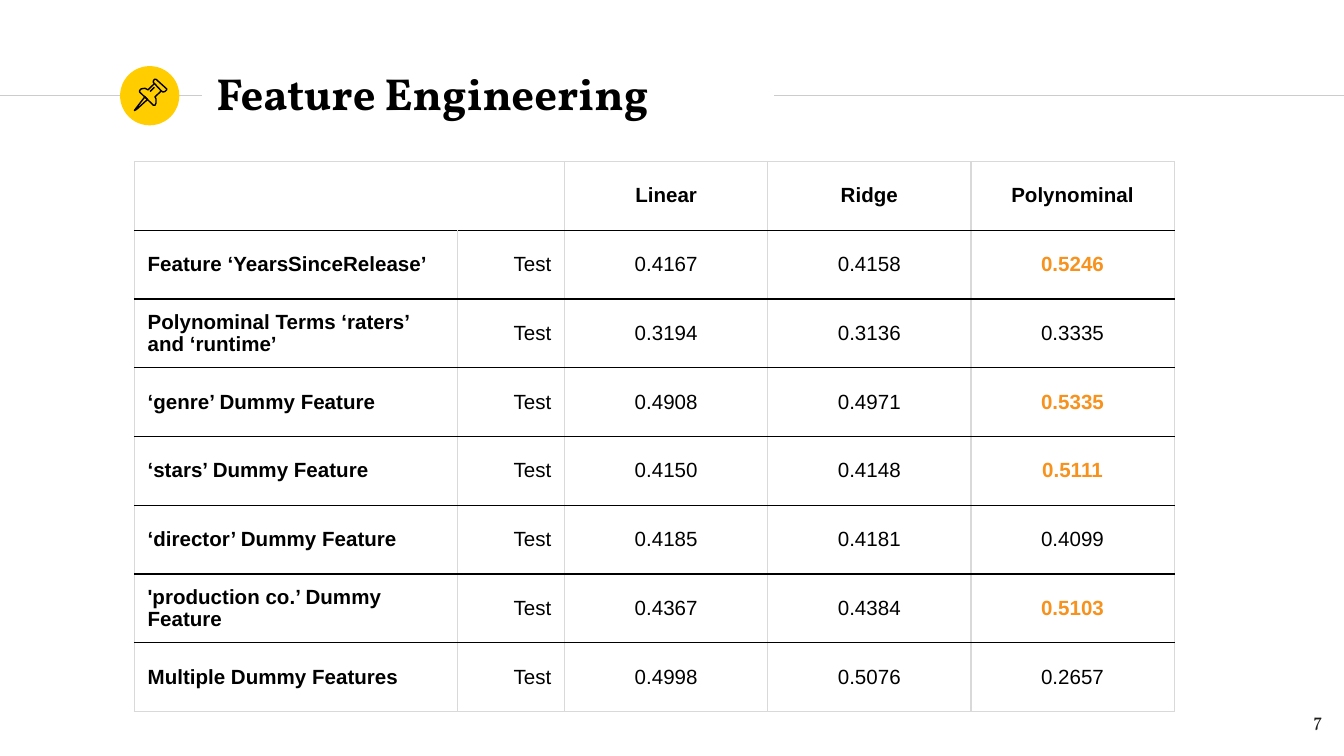
"""Builds the feature engineering slide with its table of model scores."""
import pptx
import pptx.dml.color
import pptx.enum.shapes
import pptx.enum.text
import pptx.oxml
import pptx.oxml.ns
import pptx.util

Cm = pptx.util.Cm
Pt = pptx.util.Pt
RGBColor = pptx.dml.color.RGBColor
Align = pptx.enum.text.PP_ALIGN
Anchor = pptx.enum.text.MSO_ANCHOR

BLACK = RGBColor(0x00, 0x00, 0x00)
INK = RGBColor(0x1D, 0x1D, 0x1B)
YELLOW = RGBColor(0xFF, 0xCD, 0x00)
ORANGE = RGBColor(0xF6, 0x92, 0x1D)
RULE_GREY = RGBColor(0xCC, 0xCC, 0xCC)
BORDER_GREY = RGBColor(0xD9, 0xD9, 0xD9)

MODELS = ["Linear", "Ridge", "Polynominal"]
SCORES = [
    ("Feature ‘YearsSinceRelease’", "0.4167", "0.4158", "0.5246"),
    ("Polynominal Terms ‘raters’ and ‘runtime’", "0.3194", "0.3136", "0.3335"),
    ("‘genre’ Dummy Feature", "0.4908", "0.4971", "0.5335"),
    ("‘stars’ Dummy Feature", "0.4150", "0.4148", "0.5111"),
    ("‘director’ Dummy Feature", "0.4185", "0.4181", "0.4099"),
    ("'production co.’ Dummy Feature", "0.4367", "0.4384", "0.5103"),
    ("Multiple Dummy Features", "0.4998", "0.5076", "0.2657"),
]
BEST_SCORES = {"0.5246", "0.5335", "0.5111", "0.5103"}
COLUMN_WIDTHS = [6.11, 2.02, 3.84, 3.84, 3.84]
ROW_HEIGHT = 1.3

PIN_NEEDLE = [(2.74, 1.83), (2.57, 2.05), (2.54, 2.09), (2.58, 2.07), (2.79, 1.88)]
PIN_CAP = [(2.92, 1.58), (3.05, 1.72), (3.08, 1.74), (3.12, 1.73), (3.15, 1.7),
           (3.15, 1.68), (2.95, 1.5), (2.92, 1.5), (2.9, 1.53), (2.9, 1.56)]
PIN_BODY = [(2.92, 1.58), (2.8, 1.7), (2.74, 1.67), (2.67, 1.68), (2.64, 1.71),
            (2.64, 1.74), (2.9, 1.99), (2.93, 1.99), (2.95, 1.95), (2.95, 1.87),
            (2.93, 1.83), (3.05, 1.72)]
PIN_GLINT = [(2.84, 1.73), (2.92, 1.65)]


class SlideWriter:
    """Holds the style and the current slide."""

    heading_font = "Vollkorn"
    body_font = "Arial"
    line_width = Pt(0.75)

    def __init__(self, page):
        self.page = page

    def span(self, frame, text, font, size, color, bold=False, align=Align.LEFT):
        para = frame.paragraphs[0]
        para.alignment = align
        span = para.add_run()
        span.text = text
        span.font.name = font
        span.font.size = Pt(size)
        span.font.bold = bold
        span.font.color.rgb = color

    def text(self, left, top, width, height, text, size, color,
             bold=False, align=Align.LEFT, anchor=Anchor.TOP):
        box = self.page.shapes.add_textbox(Cm(left), Cm(top), Cm(width), Cm(height))
        frame = box.text_frame
        frame.word_wrap = True
        frame.vertical_anchor = anchor
        frame.margin_left = frame.margin_right = Cm(0.25)
        frame.margin_top = frame.margin_bottom = Cm(0.25)
        self.span(frame, text, self.heading_font, size, color, bold, align)

    def rule(self, start, end, height):
        line = self.page.shapes.add_connector(
            pptx.enum.shapes.MSO_CONNECTOR.STRAIGHT,
            Cm(start), Cm(height), Cm(end), Cm(height))
        line.line.color.rgb = RULE_GREY
        line.line.width = self.line_width
        properties = line._element.spPr
        properties.append(pptx.oxml.parse_xml(
            f'<a:effectLst {pptx.oxml.ns.nsdecls("a")}/>'))

    def disc(self, left, top, size):
        disc = self.page.shapes.add_shape(
            pptx.enum.shapes.MSO_SHAPE.OVAL, Cm(left), Cm(top), Cm(size), Cm(size))
        disc.shadow.inherit = False
        disc.fill.solid()
        disc.fill.fore_color.rgb = YELLOW
        disc.line.fill.background()

    def icon(self, outlines):
        group = self.page.shapes.add_group_shape()
        for points, closed in outlines:
            start, *others = [(Cm(x), Cm(y)) for x, y in points]
            builder = group.shapes.build_freeform(*start)
            builder.add_line_segments(others, close=closed)
            outline = builder.convert_to_shape()
            outline.shadow.inherit = False
            outline.fill.background()
            outline.line.color.rgb = BLACK
            outline.line.width = self.line_width

    def cell(self, cell, top, bottom, text="", color=BLACK, bold=False, align=Align.CENTER):
        cell.fill.background()
        cell.vertical_anchor = Anchor.MIDDLE
        cell.margin_left = cell.margin_right = Cm(0.25)
        cell.margin_top = cell.margin_bottom = Cm(0.18)
        if text:
            self.span(cell.text_frame, text, self.body_font, 11, color, bold, align)
        properties = cell._tc.get_or_add_tcPr()
        sides = [("L", BORDER_GREY), ("R", BORDER_GREY), ("T", top), ("B", bottom)]
        for position, (side, border) in enumerate(sides):
            properties.insert(position, pptx.oxml.parse_xml(
                f'<a:ln{side} {pptx.oxml.ns.nsdecls("a")} w="{self.line_width}">'
                f'<a:solidFill><a:srgbClr val="{border}"/></a:solidFill></a:ln{side}>'))

    def table(self, left, top):
        count = len(SCORES) + 1
        table = self.page.shapes.add_table(
            count, len(COLUMN_WIDTHS), Cm(left), Cm(top),
            Cm(sum(COLUMN_WIDTHS)), Cm(ROW_HEIGHT * count)).table
        table.first_row = table.horz_banding = False
        for column, width in zip(table.columns, COLUMN_WIDTHS):
            column.width = Cm(width)
        for row in table.rows:
            row.height = Cm(ROW_HEIGHT)
        table.cell(0, 0).merge(table.cell(0, 1))
        for column, text in enumerate(["", ""] + MODELS):
            self.cell(table.cell(0, column), BORDER_GREY, BLACK, text, bold=True)
        for row, (feature, *scores) in enumerate(SCORES, start=1):
            bottom = BORDER_GREY if row == len(SCORES) else BLACK
            self.cell(table.cell(row, 0), BLACK, bottom, feature, bold=True, align=Align.LEFT)
            self.cell(table.cell(row, 1), BLACK, bottom, "Test", align=Align.RIGHT)
            for column, score in enumerate(scores, start=2):
                best = score in BEST_SCORES
                self.cell(table.cell(row, column), BLACK, bottom, score,
                          ORANGE if best else BLACK, best)


def main():
    deck = pptx.Presentation()
    deck.slide_width, deck.slide_height = Cm(25.4), Cm(14.29)
    writer = SlideWriter(deck.slides.add_slide(deck.slide_layouts[6]))
    writer.rule(0, 3.81, 1.81)
    writer.disc(2.27, 1.25, 1.12)
    writer.rule(14.63, 25.4, 1.81)
    writer.text(3.84, 1.14, 12.78, 1.22, "Feature Engineering", 24, BLACK,
                bold=True, anchor=Anchor.MIDDLE)
    writer.icon([(PIN_NEEDLE, True), (PIN_CAP, True), (PIN_BODY, False), (PIN_GLINT, False)])
    writer.text(23.72, 13.18, 1.52, 1.09, "7", 10, INK, align=Align.RIGHT)
    writer.table(2.54, 3.05)
    deck.save("out.pptx")


if __name__ == "__main__":
    main()
